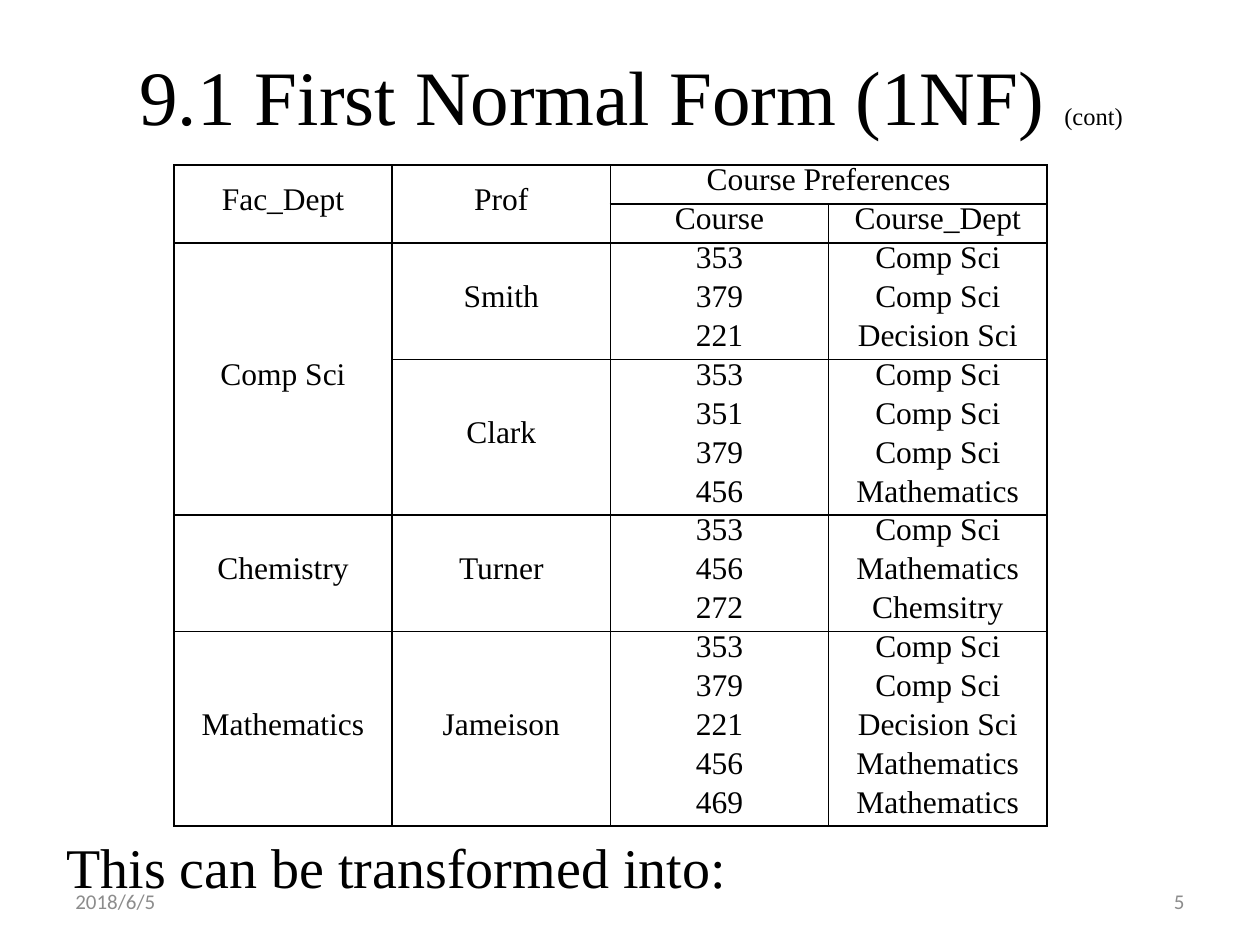
from dataclasses import dataclass
from itertools import accumulate

from lxml import etree
from pptx import Presentation
from pptx import util as u
from pptx.dml.color import RGBColor
from pptx.enum import text
from pptx.oxml import ns

Inches, Pt = u.Inches, u.Pt
Align, Anchor = text.PP_ALIGN, text.MSO_ANCHOR


@dataclass(frozen=True)
class Theme:
    ink: str = "000000"
    gray: str = "8C8C8C"
    serif: str = "Times New Roman"
    sans: str = "Calibri"
    title: int = 44
    cont: int = 14
    body: int = 32
    cell: int = 18
    foot: int = 12
    lead: int = 15
    rule: int = 1


THEME = Theme()

HEADS = [
    ["Fac_Dept", "Prof", "Course Preferences", ""],
    ["", "", "Course", "Course_Dept"],
]
DEPTS = {"353": "Comp Sci", "351": "Comp Sci", "379": "Comp Sci",
         "221": "Decision Sci", "456": "Mathematics",
         "469": "Mathematics", "272": "Chemsitry"}
PREFS = [
    ("Comp Sci", "Smith", ["353", "379", "221"]),
    ("", "Clark", ["353", "351", "379", "456"]),
    ("Chemistry", "Turner", ["353", "456", "272"]),
    ("Mathematics", "Jameison", ["353", "379", "221", "456", "469"]),
]


def style(para, size, face=THEME.serif, ink=THEME.ink, align=Align.LEFT):
    para.alignment = align
    para.font.size = Pt(size)
    para.font.name = face
    para.font.color.rgb = RGBColor.from_string(ink)


def add_title(slide, box):
    head = slide.shapes.title
    head.left, head.top, head.width, head.height = map(Inches, box)
    head.text_frame.vertical_anchor = Anchor.MIDDLE
    para = head.text_frame.paragraphs[0]
    para.add_run().text = "9.1 First Normal Form (1NF) "
    note = para.add_run()
    note.text = "(cont)"
    note.font.size = Pt(THEME.cont)
    style(para, THEME.title, align=Align.CENTER)


def add_text(slide, box, words, size, anchor=Anchor.MIDDLE, inset=0.05, **look):
    frame = slide.shapes.add_textbox(*map(Inches, box)).text_frame
    frame.word_wrap = True
    frame.vertical_anchor = anchor
    frame.margin_top = Inches(inset)
    frame.text = words
    style(frame.paragraphs[0], size, **look)


def set_edges(cell, sides):
    props = cell._tc.get_or_add_tcPr()
    for side in "LRTB":
        line = etree.SubElement(props, ns.qn(f"a:ln{side}"), w=str(Pt(THEME.rule)))
        if side in sides:
            fill = etree.SubElement(line, ns.qn("a:solidFill"))
            etree.SubElement(fill, ns.qn("a:srgbClr"), val=THEME.ink)
        else:
            etree.SubElement(line, ns.qn("a:noFill"))


def fill_cell(cell, words, sides, anchor):
    set_edges(cell, sides)
    cell.fill.background()
    cell.vertical_anchor = anchor
    cell.text = words
    para = cell.text_frame.paragraphs[0]
    para.line_spacing = Pt(THEME.lead)
    style(para, THEME.cell, align=Align.CENTER)


def add_prefs(slide, box):
    rows = HEADS + [
        [dept if i == 0 else "", prof if i == 0 else "", course, DEPTS[course]]
        for dept, prof, list_ in PREFS for i, course in enumerate(list_)
    ]
    count = len(rows)
    table = slide.shapes.add_table(count, 4, *map(Inches, box)).table
    table.first_row = table.horz_banding = False
    for col in table.columns:
        col.width = Inches(box[2] / 4)
    for row in table.rows:
        row.height = Inches(box[3] / count)

    starts = list(accumulate((len(p[2]) for p in PREFS), initial=len(HEADS)))
    profs = [0] + starts
    depts = [0] + [s for s, p in zip(starts, PREFS) if p[0]] + [count]
    for col, edges in enumerate((depts, profs)):
        for top, end in zip(edges, edges[1:]):
            table.cell(top, col).merge(table.cell(end - 1, col))
    table.cell(0, 2).merge(table.cell(0, 3))

    cuts = [depts, profs, profs + [1], profs + [1]]
    for r, row in enumerate(rows):
        for c, words in enumerate(row):
            cell = table.cell(r, c)
            full = cell.is_merge_origin
            sides = "LR"
            sides += "T" if full or r in cuts[c] else ""
            sides += "B" if full or r + 1 in cuts[c] else ""
            low = c > 1 and r >= len(HEADS)
            fill_cell(cell, words, sides, Anchor.BOTTOM if low else Anchor.MIDDLE)


def add_foot(slide, box):
    left, top, width, height = box
    part = 2.33
    for x, words, align in (
        (left, "2018/6/5", Align.LEFT),
        (left + width - part, "5", Align.RIGHT),
    ):
        add_text(slide, (x, top, part, height), words, THEME.foot,
                 face=THEME.sans, ink=THEME.gray, align=align)


def main():
    deck = Presentation()
    deck.slide_width, deck.slide_height = Inches(10), Inches(7.5)
    slide = deck.slides.add_slide(deck.slide_layouts.get_by_name("Title Only"))
    add_text(slide, (0.43, 6.51, 9, 0.58), "This can be transformed into:",
             THEME.body, anchor=Anchor.TOP, inset=0.1)
    add_prefs(slide, (1.38, 1.31, 6.93, 5.24))
    add_title(slide, (0.51, 0.13, 9, 1.25))
    add_foot(slide, (0.5, 6.95, 9, 0.4))
    deck.save("out.pptx")


if __name__ == "__main__":
    main()
